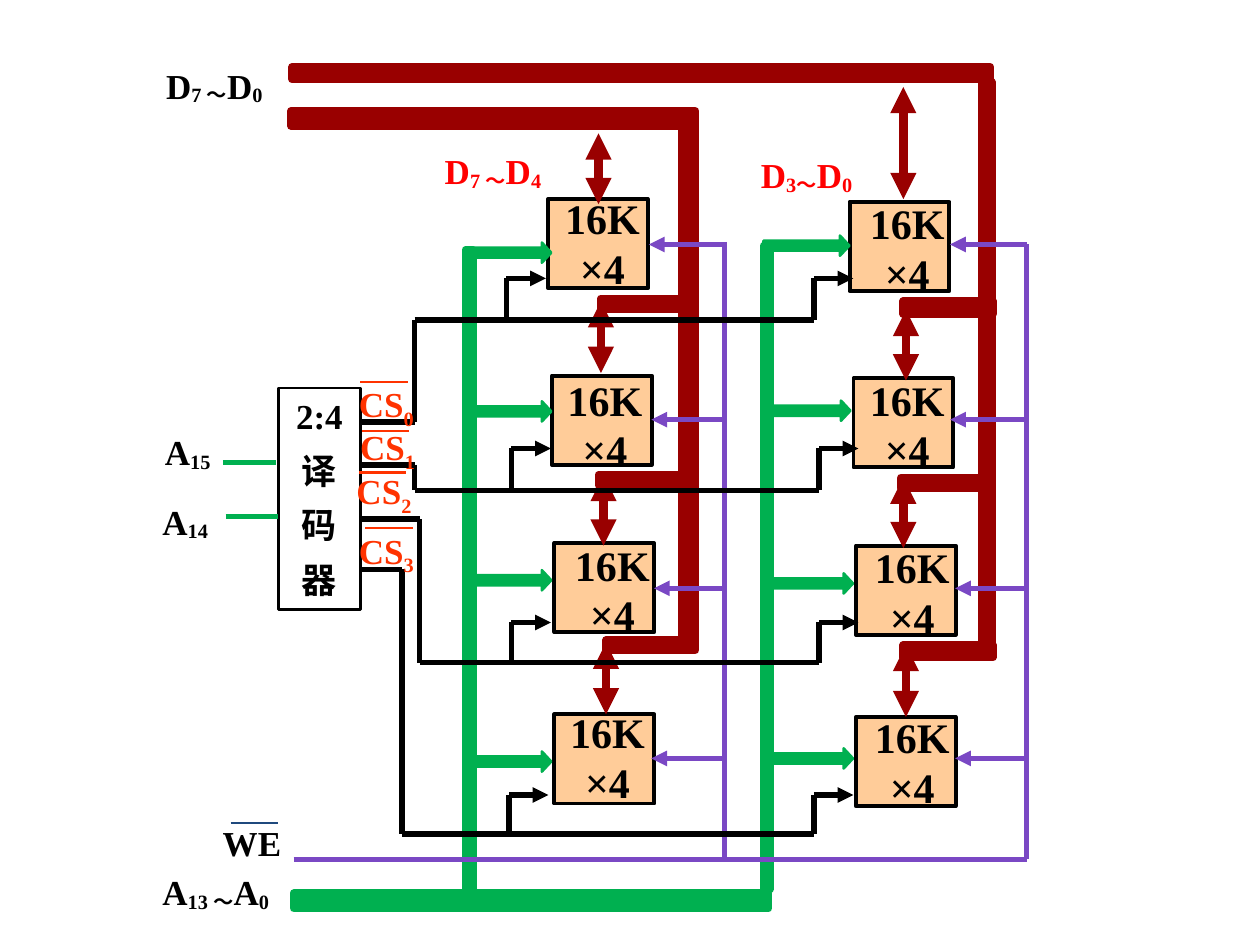
from itertools import pairwise

from lxml import etree
from pptx import Presentation
from pptx.dml.color import RGBColor
from pptx.enum.shapes import MSO_CONNECTOR, MSO_SHAPE
from pptx.enum.text import MSO_ANCHOR, MSO_AUTO_SIZE, PP_ALIGN
from pptx.oxml.ns import qn
from pptx.util import Pt

STRAIGHT = MSO_CONNECTOR.STRAIGHT
RECTANGLE, RIGHT_ARROW = MSO_SHAPE.RECTANGLE, MSO_SHAPE.RIGHT_ARROW
CENTER, LEFT = PP_ALIGN.CENTER, PP_ALIGN.LEFT
TOP, FIT_SHAPE = MSO_ANCHOR.TOP, MSO_AUTO_SIZE.SHAPE_TO_FIT_TEXT

BLACK = RGBColor(0x00, 0x00, 0x00)
RED = RGBColor(0xFF, 0x00, 0x00)
ORANGE_RED = RGBColor(0xFF, 0x33, 0x00)
PEACH = RGBColor(0xFF, 0xCC, 0x99)
GREEN = RGBColor(0x00, 0xB0, 0x50)
DARK_RED = RGBColor(0x99, 0x00, 0x00)
PURPLE = RGBColor(0x7A, 0x48, 0xC4)
NAVY = RGBColor(0x1F, 0x49, 0x7D)

# One entry per memory row, top to bottom
CHIPS = [(313.2, 113.8), (315.4, 214.6), (316.8, 310.3), (316.8, 408.2)]
CHIP_COLUMN_OFFSETS = [(0, 0), (172.3, 1.5)]
CHIP_LABELS = [
    (290.9, 106.6), (292.3, 210.2), (296.6, 304.6), (293.8, 400.3),
    (465.1, 109.4), (465.1, 210.2), (468, 306), (468, 403.2),
]
# Left, middle, length
ADDRESS_ARROWS = [
    (269.6, 144.4, 45.4), (269.6, 235.1, 45.4), (269.6, 331.6, 45.4), (269.6, 435.2, 45.4),
    (436.3, 140.4, 49), (439.9, 234.7, 46), (441.4, 333.4, 46), (441.4, 433.4, 46),
]
# Left, top, width, height
ADDRESS_BUS = [(266, 142.9, 4.3, 365), (436.3, 140.4, 3.6, 367.9), (167.8, 510.5, 271.4, 8.6)]
DATA_BUS = [
    (167, 38.2, 398.9, 7.2), (166.3, 63.4, 231.1, 8.6),
    (389.5, 69.1, 7.9, 300.2), (560.9, 46.8, 5.8, 322.6),
    (343.4, 170.6, 51.1, 5.8), (342, 271.4, 51.1, 5.8), (346.3, 365.8, 51.1, 5.8),
    (516.2, 172.1, 51.1, 7.2), (514.8, 272.9, 51.1, 5.8), (516.2, 368.6, 51.1, 7.2),
]
# X, top, bottom
DATA_ARROWS = [
    (342, 76.3, 116.6), (343.4, 172.1, 213.1), (344.9, 271.4, 311.8), (346.3, 367.2, 408.2),
    (516.2, 49.7, 113.8), (517.7, 177.1, 217.4), (516.2, 272.9, 313.2), (517.7, 368.6, 409.7),
]
WRITE_ROWS = [139.7, 239.8, 336.2, 433.4]
WRITE_BOTTOM = 491
# Bus x, bus top, arrow tips
WRITE_COLUMNS = [
    (414, 138.2, [370.8, 372.2, 373.7, 372.2]),
    (586.8, 139.7, [542.9, 542.9, 545.8, 545.8]),
]
# Decoder output y, riser x, bus y, branch x left and right, arrow y
SELECTS = [
    (241.2, 236.9, 182.9, (289.4, 465.1), 159.1),
    (265.7, 236.9, 280.1, (292.3, 468), 256.3),
    (296.6, 239.8, 378.7, (292.3, 468), 355.7),
    (325.4, 229.7, 476.6, (290.9, 465.1), 454.3),
]
# Label position, overline start
SELECT_LABELS = [
    ((198, 215.3), (205.9, 218.2)), ((198.7, 239.8), (206.6, 246.2)),
    ((196.6, 265), (205.2, 270)), ((198, 298.8), (208.8, 301.7)),
]


class Diagram:
    def __init__(self, slide, font="Times New Roman"):
        self.slide = slide
        self.font = font

    def box(self, left, top, width, height, line, weight, fill=None, kind=RECTANGLE):
        shape = self.slide.shapes.add_shape(kind, Pt(left), Pt(top), Pt(width), Pt(height))
        shape.shadow.inherit = False
        if fill is None:
            shape.fill.background()
        else:
            shape.fill.solid()
            shape.fill.fore_color.rgb = fill
        shape.line.color.rgb = line
        shape.line.width = Pt(weight)
        return shape

    def block_arrow(self, left, middle, length, color, thickness=11.5):
        shape = self.box(left, middle - thickness / 2, length, thickness,
                         color, 1.5, color, RIGHT_ARROW)
        shape.adjustments[0] = 0.5
        shape.adjustments[1] = 0.465

    def line(self, start, end, color, weight=3, heads=()):
        """Draw a line; heads lists the ends, headEnd before tailEnd, that get arrowheads."""
        connector = self.slide.shapes.add_connector(
            STRAIGHT, *(Pt(value) for value in (*start, *end)))
        connector.line.color.rgb = color
        connector.line.width = Pt(weight)
        properties = connector._element.spPr
        for head in heads:
            etree.SubElement(properties.find(qn("a:ln")), qn(f"a:{head}"), type="triangle")
        etree.SubElement(properties, qn("a:effectLst"))

    def route(self, points, color):
        for start, end in pairwise(points):
            self.line(start, end, color)

    def add_text(self, shape, paragraphs, color=BLACK, size=20, align=LEFT, spacing=1,
                 subscript=-10):
        """Fill a shape; each paragraph alternates normal and subscript runs."""
        frame = shape.text_frame
        frame.word_wrap = True
        frame.auto_size = FIT_SHAPE
        frame.vertical_anchor = TOP
        for index, pieces in enumerate(paragraphs):
            paragraph = frame.add_paragraph() if index else frame.paragraphs[0]
            paragraph.alignment = align
            if index:
                paragraph.line_spacing = spacing
                paragraph.space_before = Pt(0.6 * size)
            for position, text in enumerate(pieces):
                run = paragraph.add_run()
                run.text = text
                run.font.name = self.font
                run.font.size = Pt(size)
                run.font.bold = True
                run.font.color.rgb = color
                if position % 2:
                    run._r.get_or_add_rPr().set("baseline", str(subscript * 1000))

    def label(self, left, top, paragraphs, width=93, height=31, **style):
        box = self.slide.shapes.add_textbox(Pt(left), Pt(top), Pt(width), Pt(height))
        self.add_text(box, paragraphs, **style)


def draw_buses(diagram):
    for bar in ADDRESS_BUS:
        diagram.box(*bar, GREEN, 4.5, GREEN)
    for arrow in ADDRESS_ARROWS:
        diagram.block_arrow(*arrow, GREEN)
    for x, top, bottom in DATA_ARROWS:
        diagram.line((x, top), (x, bottom), DARK_RED, 5, ("headEnd", "tailEnd"))
    for bar in DATA_BUS:
        diagram.box(*bar, DARK_RED, 4.5, DARK_RED)


def draw_write_enable(diagram):
    for bus_x, top, tips in WRITE_COLUMNS:
        for tip, y in zip(tips, WRITE_ROWS):
            diagram.line((bus_x, y), (tip, y), PURPLE, heads=("tailEnd",))
        diagram.line((bus_x, top), (bus_x, WRITE_BOTTOM), PURPLE)
    diagram.line((167.8, WRITE_BOTTOM), (586.8, WRITE_BOTTOM), PURPLE)
    diagram.line((131.8, 470.2), (159.1, 470.2), NAVY, 1.5)


def draw_selects(diagram):
    for output_y, riser_x, bus_y, branches, arrow_y in SELECTS:
        diagram.route([(205.2, output_y), (riser_x, output_y),
                       (riser_x, bus_y), (branches[-1], bus_y)], BLACK)
        for x in branches:
            diagram.line((x, bus_y), (x, arrow_y), BLACK)
            diagram.line((x, arrow_y), (x + 22.5, arrow_y), BLACK, heads=("tailEnd",))
    for number, (place, (x, y)) in enumerate(SELECT_LABELS):
        diagram.label(*place, [("CS", str(number))], color=ORANGE_RED, subscript=-25)
        diagram.line((x, y), (x + 27, y), ORANGE_RED, 1.5)


def draw_labels(diagram):
    for place in CHIP_LABELS:
        diagram.label(*place, [("16K",), ("×4",)], width=106.6, height=62,
                      size=24, align=CENTER, spacing=0.4)
    for left, top, pieces, color in [
        (87.8, 33.1, ("D", "7 ～", "D", "0"), BLACK),
        (85.7, 493.9, ("A", "13 ～", "A", "0"), BLACK),
        (120.2, 465.8, ("WE",), BLACK),
        (247, 82.1, ("D", "7 ～", "D", "4"), RED),
        (427.7, 84.2, ("D", "3～", "D", "0"), RED),
        (87.1, 242.6, ("A", "15"), BLACK),
        (85.7, 282.2, ("A", "14"), BLACK),
    ]:
        diagram.label(left, top, [pieces], color=color)


def main():
    presentation = Presentation()
    presentation.slide_width, presentation.slide_height = Pt(720), Pt(540)
    diagram = Diagram(presentation.slides.add_slide(presentation.slide_layouts[6]))
    decoder = diagram.box(159.1, 221.8, 46.8, 126.7, BLACK, 1.5)
    diagram.add_text(decoder, [("2:4",), ("译",), ("码",), ("器",)], align=CENTER, spacing=0.8)
    for shift_x, shift_y in CHIP_COLUMN_OFFSETS:
        for x, y in CHIPS:
            diagram.box(x + shift_x, y + shift_y, 57, 51, BLACK, 2.25, PEACH)
    draw_buses(diagram)
    draw_write_enable(diagram)
    draw_labels(diagram)
    draw_selects(diagram)
    for x, y in [(127.4, 264.2), (128.9, 295.2)]:
        diagram.line((x, y), (x + 30.2, y), GREEN)
    presentation.save("out.pptx")


if __name__ == "__main__":
    main()
